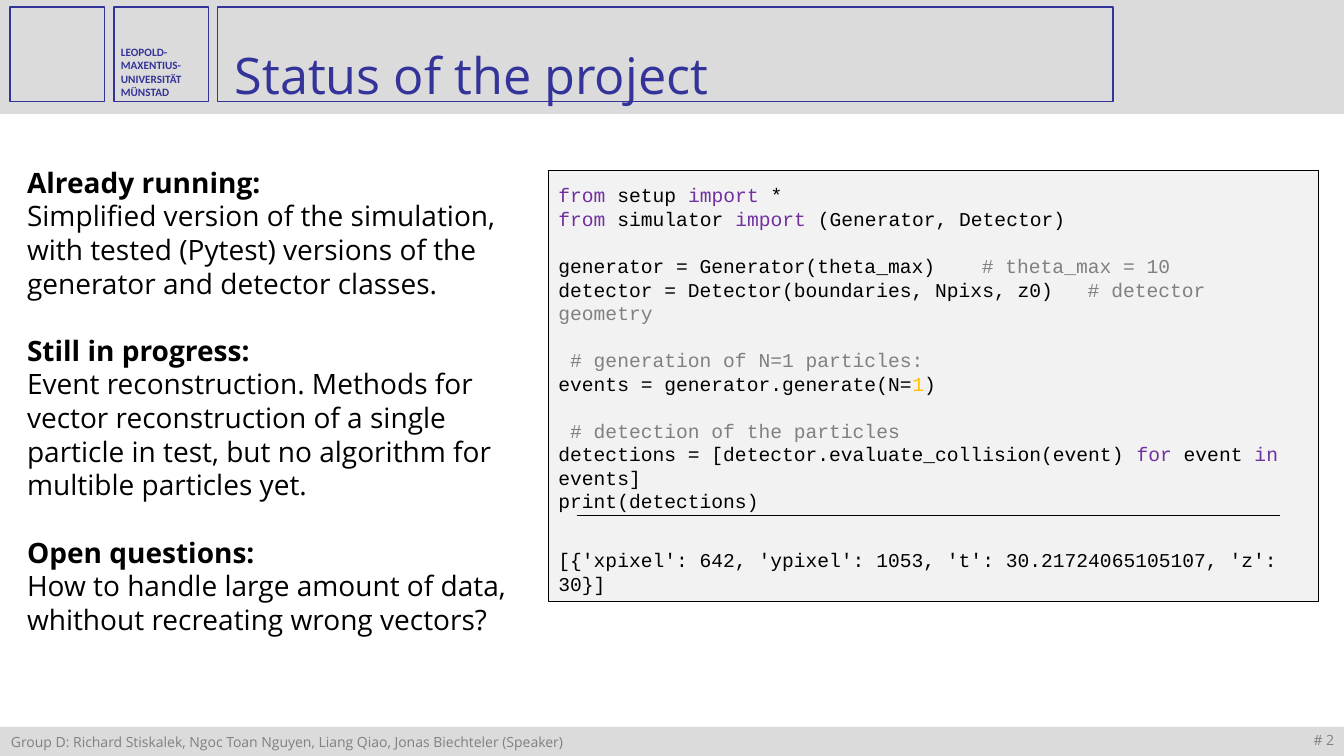
from dataclasses import dataclass

from lxml import etree
from pptx import Presentation
from pptx import util as u
from pptx.dml.color import RGBColor
from pptx.enum import shapes, text
from pptx.oxml import ns


@dataclass(frozen=True)
class Theme:
    ink: str = "000000"
    brand: str = "333399"
    band: str = "D9D9D9"
    panel: str = "F2F2F2"
    muted: str = "808080"
    keyword: str = "7030A0"
    number: str = "FFC000"
    sans: str = "Open Sans"
    label: str = "Calibri"
    mono: str = "Courier New"
    title_size: int = 36
    body_size: int = 20
    code_size: int = 14
    footer_size: int = 10
    label_size: int = 8
    leading: float = 1.2


THEME = Theme()

# Content
TITLE = "Status of the project"
UNIVERSITY = ["LEOPOLD-", "MAXENTIUS-", "UNIVERSITÄT", "MÜNSTAD"]
FOOTER = "Group D: Richard Stiskalek, Ngoc Toan Nguyen, Liang Qiao, Jonas Biechteler (Speaker)"
PAGE = "# 2"
SECTIONS = [
    ("Already running:",
     "Simplified version of the simulation, with tested (Pytest) versions of the "
     "generator and detector classes."),
    ("Still in progress:",
     "Event reconstruction. Methods for vector reconstruction of a single particle "
     "in test, but no algorithm for multible particles yet."),
    ("Open questions:",
     "How to handle large amount of data, whithout recreating wrong vectors?"),
]
K, N, C = THEME.keyword, THEME.number, THEME.muted
# Blocks of code lines; a line is a list of plain strings and (string, colour) pairs
CODE = [
    [[("from ", K), "setup ", ("import", K), " *"],
     [("from ", K), "simulator ", ("import", K), " (Generator, Detector)"]],
    [["generator = Generator(theta_max)\t", ("# theta_max = 10", C)],
     ["detector = Detector(boundaries, Npixs, z0)\t", ("# detector geometry", C)]],
    [[(" # generation of N=1 particles:", C)],
     ["events = generator.generate(N=", ("1", N), ")"]],
    [[(" # detection of the particles", C)],
     ["detections = [detector.evaluate_collision(event) ", ("for ", K), "event ",
      ("in ", K), "events]"],
     ["print(detections)"]],
]
COMMENT_COLUMNS = (36, 45)  # characters before each trailing comment
OUTPUT = "[{'xpixel': 642, 'ypixel': 1053, 't': 30.21724065105107, 'z': 30}]"

# Layout in inches
WIDTH, HEIGHT = 13.33, 7.5
HEADER_HEIGHT, FOOTER_HEIGHT = 1.13, 0.29
FOOTER_TOP = HEIGHT - FOOTER_HEIGHT
FRAME, FRAME_GAP, FRAME_LEFT, FRAME_TOP = 0.94, 0.09, 0.1, 0.07
FRAME_WIDTHS = (FRAME, FRAME, 8.88)
PANEL_LEFT, PANEL_TOP, PANEL_WIDTH, PANEL_HEIGHT = 5.44, 1.69, 7.64, 4.28
RULE_INSET, RULE_TOP = 0.28, 5.11
CHARACTER = 0.6 * THEME.code_size / 72

presentation = Presentation()
presentation.slide_width, presentation.slide_height = u.Inches(WIDTH), u.Inches(HEIGHT)
slide = presentation.slides.add_slide(presentation.slide_layouts[6])


def rgb(value):
    return RGBColor.from_string(value)


def add_box(left, top, width, height, fill=None, line=None, weight=1, alpha=None):
    shape = slide.shapes.add_shape(shapes.MSO_SHAPE.RECTANGLE,
                                   *map(u.Inches, (left, top, width, height)))
    shape.shadow.inherit = False
    if fill:
        shape.fill.solid()
        shape.fill.fore_color.rgb = rgb(fill)
    else:
        shape.fill.background()
    if alpha:
        color = shape.fill._xPr.find(".//" + ns.qn("a:srgbClr"))
        etree.SubElement(color, ns.qn("a:alpha"), val=str(alpha * 1000))
    if line:
        shape.line.color.rgb = rgb(line)
        shape.line.width = u.Pt(weight)
    else:
        shape.line.fill.background()


def add_text(left, top, width, height, paragraphs, size, font=THEME.sans,
             color=THEME.ink, bold=False, align=text.PP_ALIGN.LEFT,
             bold_rows=(), gap_rows=(), tabs=(), wrap=True):
    """Each paragraph is a list of strings and (string, colour) pairs."""
    box = slide.shapes.add_textbox(*map(u.Inches, (left, top, width, height)))
    frame = box.text_frame
    frame.word_wrap = wrap
    frame.auto_size = text.MSO_AUTO_SIZE.SHAPE_TO_FIT_TEXT
    pitch = u.Pt(size * THEME.leading)
    for row, parts in enumerate(paragraphs):
        paragraph = frame.add_paragraph() if row else frame.paragraphs[0]
        paragraph.alignment = align
        paragraph.line_spacing = pitch
        if row in gap_rows:
            paragraph.space_before = pitch
        if tabs:
            stops = etree.SubElement(paragraph._p.get_or_add_pPr(), ns.qn("a:tabLst"))
            for stop in tabs:
                etree.SubElement(stops, ns.qn("a:tab"), pos=str(u.Inches(stop)), algn="l")
        for part in parts:
            words, tint = (part, color) if isinstance(part, str) else part
            run = paragraph.add_run()
            run.text = words
            run.font.name = font
            run.font.size = u.Pt(size)
            run.font.bold = bold or row in bold_rows
            run.font.color.rgb = rgb(tint)


# Code panel and bands
add_box(PANEL_LEFT, PANEL_TOP, PANEL_WIDTH, PANEL_HEIGHT, THEME.panel, THEME.ink, 0.75)
for top, height in ((0, HEADER_HEIGHT), (FOOTER_TOP, FOOTER_HEIGHT)):
    add_box(0, top, WIDTH, height, THEME.band, alpha=94)

# Header frames, title and university name
for index, width in enumerate(FRAME_WIDTHS):
    add_box(FRAME_LEFT + index * (FRAME + FRAME_GAP), FRAME_TOP, width, FRAME,
            line=THEME.brand)
add_text(2.23, 0.39, 8.5, 0.71, [[TITLE]], THEME.title_size, color=THEME.brand)
add_text(1.1, 0.4, 0.89, 0.64, [[line] for line in UNIVERSITY], THEME.label_size,
         font=THEME.label, color=THEME.brand, bold=True)

# Status sections
headings = range(0, 2 * len(SECTIONS), 2)
add_text(0.17, 1.59, 4.97, 4.81, [[line] for section in SECTIONS for line in section],
         THEME.body_size, bold_rows=headings, gap_rows=headings[1:])

# Footer
add_text(0.01, FOOTER_TOP + 0.02, 12.18, 0.27, [[FOOTER]], THEME.footer_size,
         color=THEME.muted)
add_text(WIDTH - 3.25, FOOTER_TOP, 3.25, 0.27, [[PAGE]], THEME.footer_size,
         color=THEME.muted, align=text.PP_ALIGN.RIGHT)

# Code, dividing rule and program output
block_starts = [sum(map(len, CODE[:index])) for index in range(1, len(CODE))]
add_text(PANEL_LEFT, PANEL_TOP + 0.08, PANEL_WIDTH, 2.93,
         [line for block in CODE for line in block], THEME.code_size, font=THEME.mono,
         gap_rows=block_starts, tabs=[column * CHARACTER for column in COMMENT_COLUMNS])
rule = slide.shapes.add_connector(
    shapes.MSO_CONNECTOR.STRAIGHT, u.Inches(PANEL_LEFT + RULE_INSET), u.Inches(RULE_TOP),
    u.Inches(12.7), u.Inches(RULE_TOP))
rule.line.color.rgb = rgb(THEME.ink)
rule.line.width = u.Pt(0.75)
etree.SubElement(rule._element.spPr, ns.qn("a:effectLst"))
add_text(PANEL_LEFT, 5.39, 7.54, 0.34, [[OUTPUT]], THEME.code_size, font=THEME.mono)

presentation.save("out.pptx")
